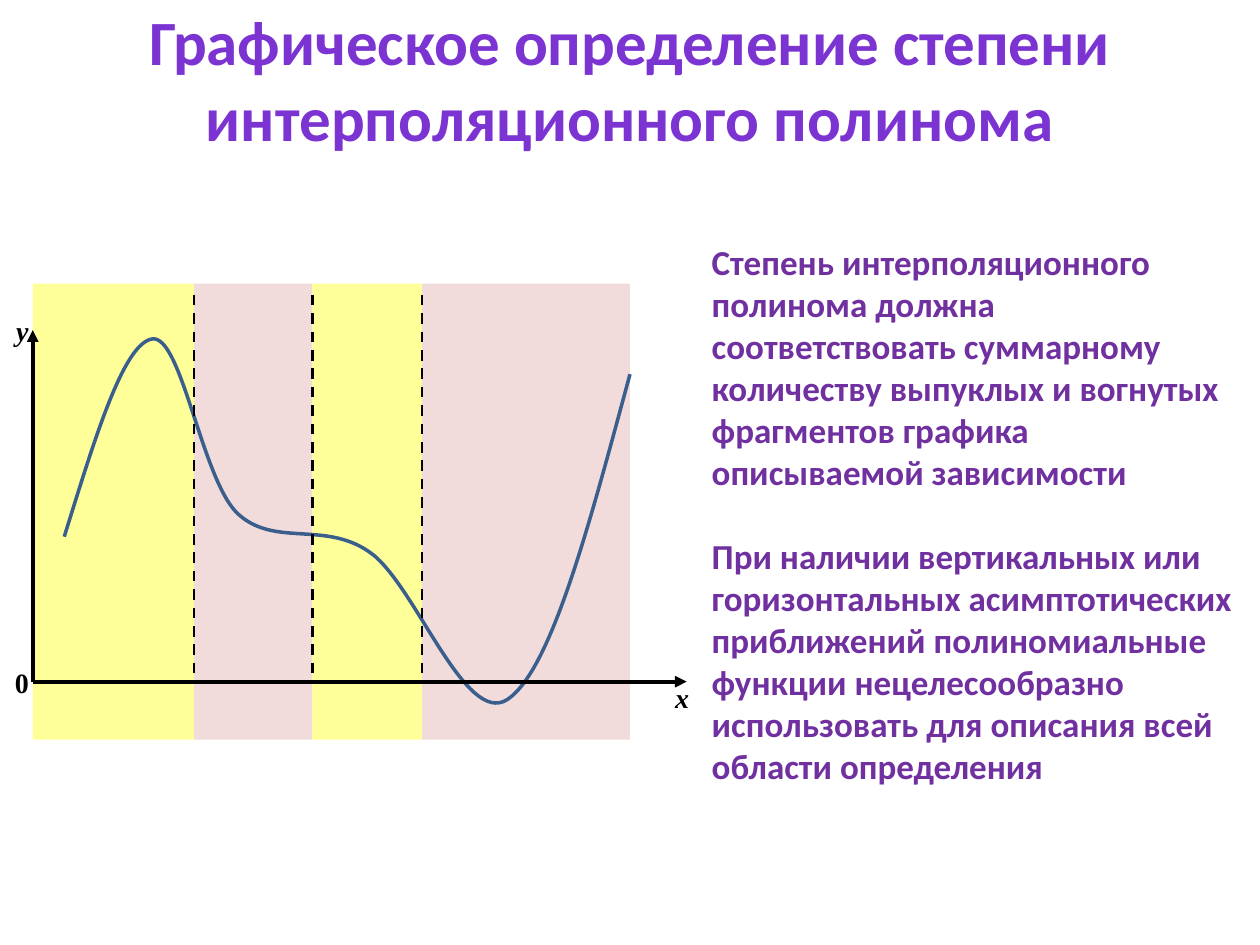
from dataclasses import dataclass
from itertools import cycle, pairwise

from lxml.etree import SubElement
from pptx import Presentation
from pptx.dml.color import RGBColor
from pptx.enum.dml import MSO_LINE
from pptx.enum.shapes import MSO_CONNECTOR, MSO_SHAPE
from pptx.enum.text import MSO_ANCHOR, PP_ALIGN
from pptx.oxml import parse_xml
from pptx.oxml.ns import nsdecls, qn
from pptx.util import Inches, Pt


@dataclass(frozen=True)
class Theme:
    title: str = "7B34D2"
    body: str = "7030A0"
    ink: str = "000000"
    curve: str = "3A5F8C"
    convex: str = "FFFF99"
    concave: str = "F2DCDB"
    font: str = "Calibri"
    math_font: str = "Times New Roman"
    title_size: int = 36
    body_size: int = 20
    label_size: int = 16


class Board:
    """A slide measured on a grid of 100 columns by 75 rows."""

    COLS, ROWS = 100, 75

    def __init__(self, prs, theme):
        self.theme = theme
        self.s = prs.slides.add_slide(prs.slide_layouts[6])
        self.col = prs.slide_width / self.COLS
        self.row = prs.slide_height / self.ROWS

    def point(self, x, y):
        return round(x * self.col), round(y * self.row)

    def box(self, left, top, width, height):
        return *self.point(left, top), *self.point(width, height)

    def band(self, area, color):
        sp = self.s.shapes.add_shape(MSO_SHAPE.RECTANGLE, *self.box(*area))
        sp.shadow.inherit = False
        sp.fill.solid()
        sp.fill.fore_color.rgb = RGBColor.from_string(color)
        sp.line.fill.background()

    def text(self, area, paragraphs, size, color, font=None, align=PP_ALIGN.LEFT,
             italic=False, wrap=True, gap=0):
        tf = self.s.shapes.add_textbox(*self.box(*area)).text_frame
        tf.word_wrap = wrap
        tf.vertical_anchor = MSO_ANCHOR.TOP
        tf.text = "\n".join(paragraphs)
        for i, p in enumerate(tf.paragraphs):
            p.alignment = align
            p.space_before = Pt(gap if i else 0)
            for r in p.runs:
                r.font.name = font or self.theme.font
                r.font.size = Pt(size)
                r.font.bold = True
                r.font.italic = italic
                r.font.color.rgb = RGBColor.from_string(color)

    def line(self, start, end, width, dash=None, arrow=False):
        cn = self.s.shapes.add_connector(
            MSO_CONNECTOR.STRAIGHT, *self.point(*start), *self.point(*end))
        cn.line.color.rgb = RGBColor.from_string(self.theme.ink)
        cn.line.width = Pt(width)
        if dash:
            cn.line.dash_style = dash
        props = cn._element.spPr
        if arrow:
            SubElement(props.find(qn("a:ln")), qn("a:tailEnd"), type="triangle")
        SubElement(props, qn("a:effectLst"))

    def curve(self, start, segments, color, width):
        """Each segment is two control points and the knot it ends at."""
        builder = self.s.shapes.build_freeform(*self.point(*start))
        builder.add_line_segments([self.point(*seg[-1]) for seg in segments], close=False)
        sp = builder.convert_to_shape()
        sp.shadow.inherit = False
        sp.fill.background()
        sp.line.color.rgb = RGBColor.from_string(color)
        sp.line.width = Pt(width)
        # Bend each straight segment into a Bezier one
        for straight, seg in zip(list(sp._element.iter(qn("a:lnTo"))), segments):
            bezier = parse_xml(f"<a:cubicBezTo {nsdecls('a')}/>")
            for x, y in (self.point(*pt) for pt in seg):
                SubElement(bezier, qn("a:pt"), x=str(x - sp.left), y=str(y - sp.top))
            straight.getparent().replace(straight, bezier)


TITLE = "Графическое определение степени интерполяционного полинома"
BODY = [
    "Степень интерполяционного полинома должна соответствовать суммарному "
    "количеству выпуклых и вогнутых фрагментов графика описываемой зависимости",
    "При наличии вертикальных или горизонтальных асимптотических приближений "
    "полиномиальные функции нецелесообразно использовать для описания всей "
    "области определения",
]
EDGES = [2.6, 15.4, 24.8, 33.5, 50]
ORIGIN = (2.6, 54.1)
CURVE_START = (5.1, 42.6)
CURVE = [
    [(7.5, 34.9), (9.8, 27.2), (12.1, 26.9)],
    [(14.4, 26.6), (16, 37.9), (18.8, 40.7)],
    [(21.7, 43.5), (25.7, 41.3), (29.3, 43.8)],
    [(32.9, 46.2), (36.9, 57.8), (40.3, 55.5)],
    [(43.8, 53.1), (46.8, 41.5), (50, 29.7)],
]
LABELS = [("0", 0.2, 52.3, False), ("y", 0.3, 24.4, True), ("x", 52.6, 53.5, True)]


def main():
    prs = Presentation()
    prs.slide_width, prs.slide_height = Inches(10), Inches(7.5)
    t = Theme()
    b = Board(prs, t)

    # Convex and concave bands
    for (left, right), color in zip(pairwise(EDGES), cycle([t.convex, t.concave])):
        b.band((left, 22.5, right - left, 36.2), color)

    # Title
    b.text((0, -0.3, 100, 13.1), [TITLE], t.title_size, t.title, align=PP_ALIGN.CENTER)

    # Curve and explanation
    b.curve(CURVE_START, CURVE, t.curve, 2)
    b.text((55.5, 18.6, 44.2, 44.8), BODY, t.body_size, t.body, gap=24)

    # Axes and their labels
    for end in [(54.5, ORIGIN[1]), (ORIGIN[0], 26.2)]:
        b.line(ORIGIN, end, 2.25, arrow=True)
    for label, left, top, italic in LABELS:
        b.text((left, top, 2.9, 3.7), [label], t.label_size, t.ink,
               font=t.math_font, italic=italic, wrap=False)

    # Borders between the bands
    for x in EDGES[1:-1]:
        b.line((x, 23.4), (x, 54), 1.5, dash=MSO_LINE.DASH)

    prs.save("out.pptx")


if __name__ == "__main__":
    main()
